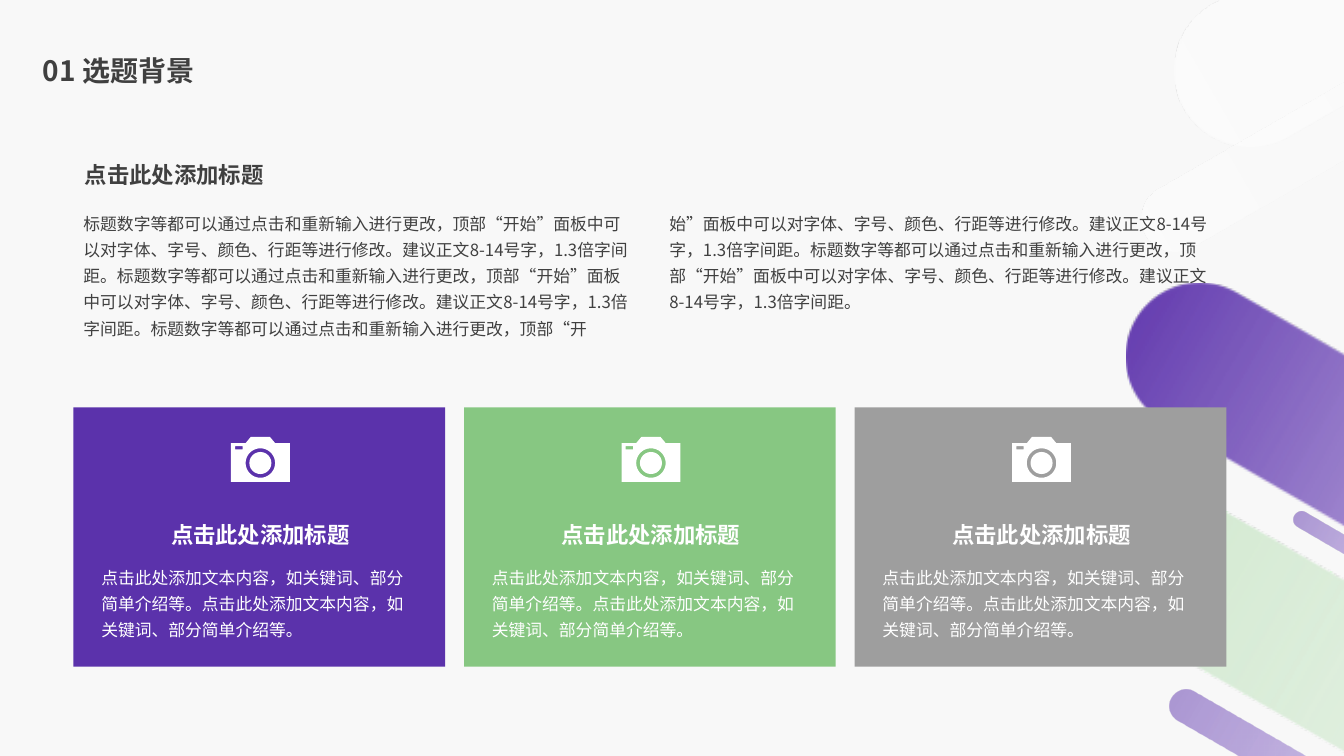
from math import cos, pi, sin

from lxml.etree import SubElement
from pptx import Presentation
from pptx.dml.color import RGBColor
from pptx.enum.lang import MSO_LANGUAGE_ID
from pptx.enum.shapes import MSO_SHAPE
from pptx.enum.text import MSO_ANCHOR, MSO_AUTO_SIZE, PP_ALIGN
from pptx.oxml.ns import qn
from pptx.util import Pt

PX = 9525  # EMU in one px, 96 px to the inch

PURPLE = RGBColor(0x5B, 0x32, 0xAB)
VIOLET = RGBColor(0x5F, 0x34, 0xB2)
GREEN = RGBColor(0x87, 0xC7, 0x82)
MINT = RGBColor(0xD0, 0xE9, 0xCE)
GRAY = RGBColor(0x9E, 0x9E, 0x9E)
DARK = RGBColor(0x40, 0x40, 0x40)
WHITE = RGBColor(0xFF, 0xFF, 0xFF)
PAPER = RGBColor(0xF8, 0xF8, 0xF8)

BODY_FONT = "Noto Sans CJK SC"
HEADING_FONT = "League Spartan"

HEADING = "点击此处添加标题"
CARD_TEXT = "点击此处添加文本内容，如关键词、部分简单介绍等。" * 2
INTRO_TEXT = (
    "标题数字等都可以通过点击和重新输入进行更改，"
    "顶部“开始”面板中可以对字体、字号、颜色、行距等进行修改。"
    "建议正文8-14号字，1.3倍字间距。"
) * 4

# Gradient stops: position %, colour, opacity %
FADE_OUT = [(85, WHITE, 50), (100, WHITE, 50)]
STRONG_PURPLE = [(0, PURPLE, 100), (23, VIOLET, 40)] + FADE_OUT
PALE_PURPLE = [(0, PURPLE, 50), (23, VIOLET, 40)] + FADE_OUT
PALE_GREEN = [(0, MINT, 100), (22, MINT, 50)] + FADE_OUT
GLOW = [(0, WHITE, 50), (21, WHITE, 29), (85, WHITE, 0), (100, WHITE, 0)]

# Bars: left, top, width, height, rotation, stops
BARS = [
    (950, 728, 1973, 141, 30, STRONG_PURPLE),
    (1052, -254, 1140, 145, -30, GLOW),
    (1058, 65, 506, 64, -30, GLOW),
    (929, 931, 1973, 141, 30, PALE_GREEN),
    (1217, 542, 234, 16, 30, PALE_PURPLE),
    (1086, 761, 450, 32, 30, PALE_PURPLE),
]


def px(*lengths):
    return [round(length * PX) for length in lengths]


def paint(shape, color):
    shape.shadow.inherit = False
    shape.fill.solid()
    shape.fill.fore_color.rgb = color
    shape.line.fill.background()


def add_text(paragraph, text, size, color, font, bold=False):
    run = paragraph.add_run()
    run.text = text
    run.font.size = Pt(size)
    run.font.color.rgb = color
    run.font.bold = bold
    run.font.name = font
    run.font.language_id = MSO_LANGUAGE_ID.SIMPLIFIED_CHINESE
    SubElement(run.font._element, qn("a:ea")).set("typeface", BODY_FONT)


def add_body(shapes, box, text, color):
    body = shapes.add_textbox(*px(*box))
    frame = body.text_frame
    frame.word_wrap = True
    frame.auto_size = MSO_AUTO_SIZE.SHAPE_TO_FIT_TEXT
    frame.paragraphs[0].line_spacing = 1.3
    add_text(frame.paragraphs[0], text, 12, color, BODY_FONT)
    return body


def add_heading(shapes, left, top, color):
    frame = shapes.add_textbox(*px(left, top, 192, 43)).text_frame
    frame.word_wrap = False
    frame.auto_size = MSO_AUTO_SIZE.SHAPE_TO_FIT_TEXT
    frame.paragraphs[0].alignment = PP_ALIGN.CENTER
    frame.paragraphs[0].line_spacing = 1.3
    add_text(frame.paragraphs[0], HEADING, 16, color, HEADING_FONT, bold=True)


def add_bar(shapes, left, top, width, height, rotation, stops):
    bar = shapes.add_shape(MSO_SHAPE.ROUNDED_RECTANGLE, *px(left, top, width, height))
    bar.adjustments[0] = 0.5
    bar.rotation = rotation
    paint(bar, WHITE)
    # Gradient runs along the bar
    properties = bar._element.spPr
    solid = properties.find(qn("a:solidFill"))
    gradient = SubElement(properties, qn("a:gradFill"), rotWithShape="1")
    properties.replace(solid, gradient)
    stop_list = SubElement(gradient, qn("a:gsLst"))
    for position, color, opacity in stops:
        stop = SubElement(stop_list, qn("a:gs"), pos=str(position * 1000))
        tint = SubElement(stop, qn("a:srgbClr"), val=str(color))
        SubElement(tint, qn("a:alpha"), val=str(opacity * 1000))
    SubElement(gradient, qn("a:lin"), ang="0", scaled="0")


def add_camera(shapes, left, top):
    housing = [(0, 6), (14, 6), (19, 0), (37, 0), (42, 6), (56, 6), (56, 43), (0, 43)]
    flash = [(4, 9), (4, 12), (11, 12), (11, 9)]
    center_x, center_y, hole_radius, lens_radius = 28, 25, 14, 10.5
    steps = 60
    hole = [
        (center_x + hole_radius * cos(2 * pi * step / steps),
         center_y - hole_radius * sin(2 * pi * step / steps))
        for step in range(steps)
    ]
    outline, *cutouts = [
        [px(left + x, top + y) for x, y in contour] for contour in (housing, flash, hole)
    ]
    builder = shapes.build_freeform(*outline[0])
    builder.add_line_segments(outline[1:])
    for cutout in cutouts:
        builder.move_to(*cutout[0])
        builder.add_line_segments(cutout[1:])
    paint(builder.convert_to_shape(), WHITE)
    lens = shapes.add_shape(MSO_SHAPE.OVAL, *px(
        left + center_x - lens_radius, top + center_y - lens_radius,
        2 * lens_radius, 2 * lens_radius))
    paint(lens, WHITE)


def add_title(slide, box):
    title = slide.shapes.title
    title.left, title.top, title.width, title.height = px(*box)
    title.text_frame.vertical_anchor = MSO_ANCHOR.MIDDLE
    paragraph = title.text_frame.paragraphs[0]
    paragraph.alignment = PP_ALIGN.LEFT
    paragraph.line_spacing = 0.9
    paragraph.space_before = Pt(10)
    add_text(paragraph, "01 选题背景", 20, DARK, BODY_FONT, bold=True)


def add_card(slide, left, top, width, height, color):
    card = slide.shapes.add_group_shape().shapes
    panel = card.add_shape(MSO_SHAPE.RECTANGLE, *px(left, top, width, height))
    paint(panel, color)
    add_camera(card, left + 150, top + 28)
    add_body(card, (left + 17, top + 142, width - 33, 86), CARD_TEXT, WHITE)
    add_heading(card, left + 82, top + 96, WHITE)


def add_intro(slide, left, top, width, height):
    body = add_body(slide.shapes, (left, top + 52, width, height - 52), INTRO_TEXT, DARK)
    columns = body.text_frame._txBody.bodyPr
    columns.set("numCol", "2")
    columns.set("spcCol", str(37 * PX))
    add_heading(slide.shapes, left, top, DARK)


def main():
    deck = Presentation()
    deck.slide_width, deck.slide_height = px(1280, 720)
    slide = deck.slides.add_slide(deck.slide_layouts[5])
    slide.background.fill.solid()
    slide.background.fill.fore_color.rgb = PAPER

    # Diagonal bars behind the content
    for bar in BARS:
        add_bar(slide.shapes, *bar)

    # Title, three cards, two-column introduction
    add_title(slide, (31, 41, 479, 56))
    for index, color in enumerate((PURPLE, GREEN, GRAY)):
        add_card(slide, 70 + 372 * index, 388, 354, 247, color)
    add_intro(slide, 70, 141, 1098, 187)

    deck.save("out.pptx")


if __name__ == "__main__":
    main()
